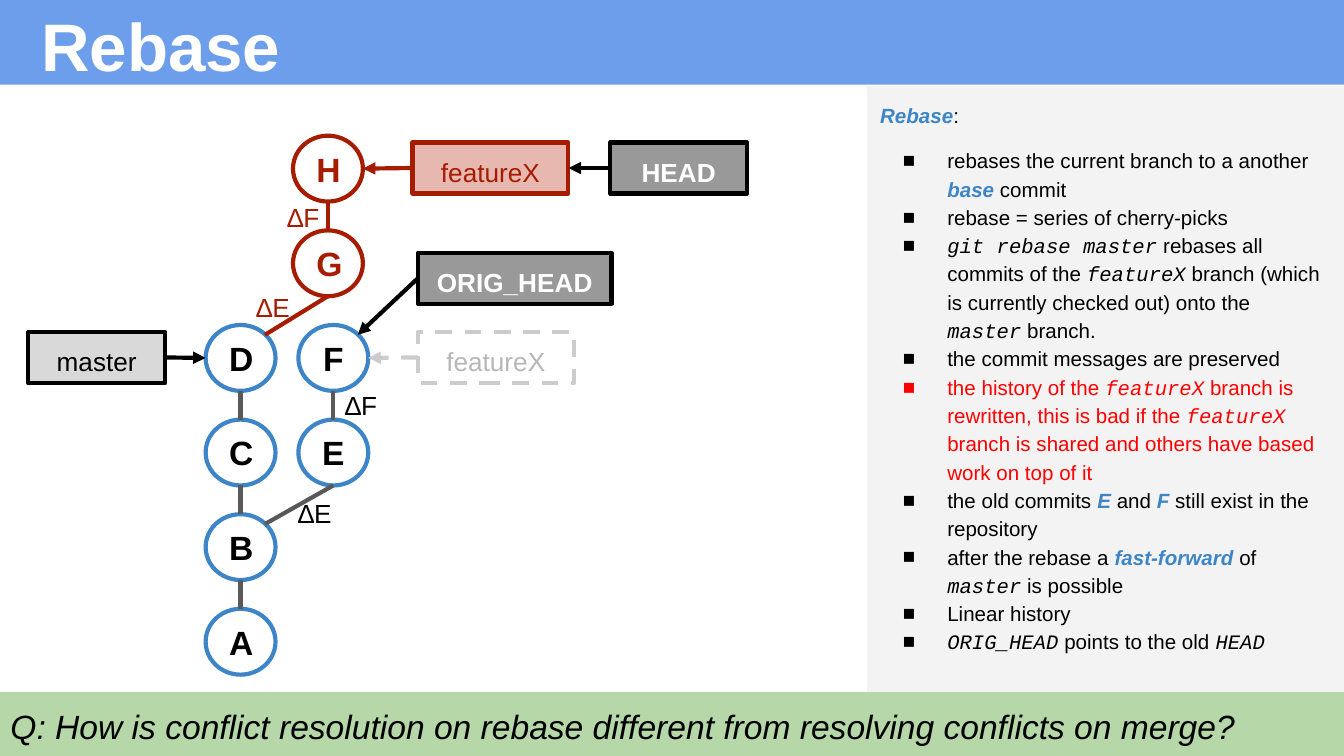
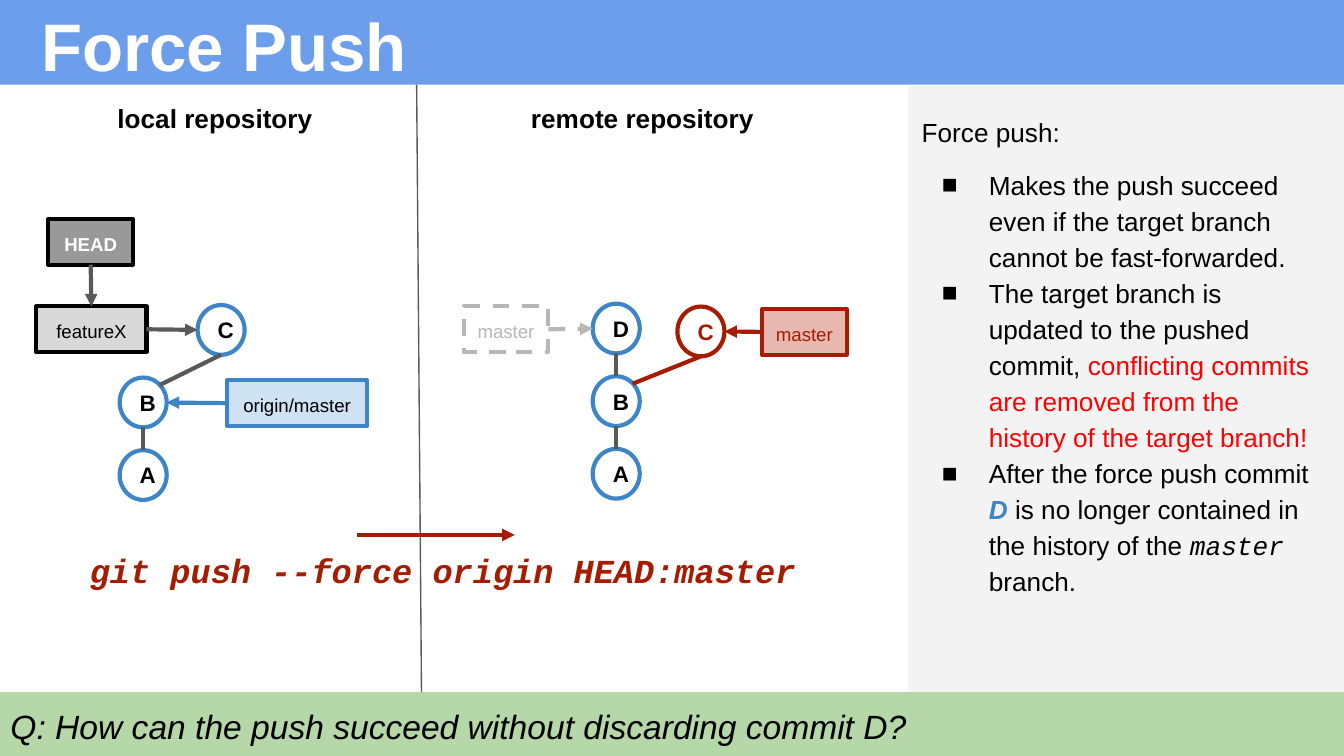
from dataclasses import dataclass
from typing import NamedTuple

import lxml.etree
import pptx
import pptx.dml.color
import pptx.enum.dml
import pptx.enum.shapes
import pptx.enum.text
import pptx.oxml.ns
import pptx.util

# The slide is a grid of square cells, 100 columns by 56.25 rows.
COLUMNS, ROWS = 100, 56.25
CELL = pptx.util.Inches(0.1)

SANS, MONO = "Arial", "Courier New"
BLACK, WHITE, GREY, RED = "000000", "FFFFFF", "595959", "FF0000"
BLUE, RUST, PALE, FADED = "3D85C6", "A61C00", "CCCCCC", "B7B7B7"
BAND, PANEL, QUESTION = "6D9EEB", "F3F3F3", "B6D7A8"
LINE_WIDTH = 2.25

LEFT_ALIGNED = pptx.enum.text.PP_ALIGN.LEFT
CENTERED = pptx.enum.text.PP_ALIGN.CENTER
AT_TOP = pptx.enum.text.MSO_ANCHOR.TOP
AT_MIDDLE = pptx.enum.text.MSO_ANCHOR.MIDDLE
AT_BOTTOM = pptx.enum.text.MSO_ANCHOR.BOTTOM
RECTANGLE = pptx.enum.shapes.MSO_SHAPE.RECTANGLE
OVAL = pptx.enum.shapes.MSO_SHAPE.OVAL


class Span(NamedTuple):
    text: str
    color: str | None = None
    mono: bool = False
    bold: bool = False
    italic: bool = False


class Para(NamedTuple):
    spans: list[Span]
    color: str = BLACK


class Font(NamedTuple):
    size: float
    color: str = BLACK
    bold: bool = False
    italic: bool = False
    name: str = SANS


class Look(NamedTuple):
    line: str
    text: str = BLACK
    fill: str | None = None
    bold: bool = False
    dashed: bool = False


COMMIT = Look(BLUE, bold=True)
NEW_COMMIT = Look(RUST, RUST, bold=True)
BRANCH = Look(BLACK, fill="D9D9D9")
NEW_BRANCH = Look(RUST, RUST, "E6B8AF")
REMOTE_BRANCH = Look(BLUE, fill="CFE2F3")
HEAD = Look(BLACK, WHITE, "999999", bold=True)

# Docking points, as shares of a node's width and height.
TOP, BOTTOM, LEFT, RIGHT = (0.5, 0), (0.5, 1), (0, 0.5), (1, 0.5)
UPPER_RIGHT = (0.85, 0.15)


@dataclass(frozen=True)
class Area:
    left: float
    top: float
    width: float
    height: float

    def emu(self) -> list[int]:
        return [cells(n) for n in (self.left, self.top, self.width, self.height)]

    def dock(self, share: tuple[float, float]) -> tuple[float, float]:
        return self.left + share[0] * self.width, self.top + share[1] * self.height


@dataclass(frozen=True)
class CommitGrid:
    """Places commits of one size by column offset and row number."""
    left: float
    top: float
    pitch: float
    width: float
    height: float
    size: int

    def commit(self, page, name: str, row: float, offset: float = 0, look: Look = COMMIT) -> Area:
        area = Area(self.left + offset, self.top + row * self.pitch, self.width, self.height)
        return draw_node(page, OVAL, area, name, look, self.size, AT_MIDDLE)


def cells(count: float) -> int:
    return round(count * CELL)


def rgb(color: str) -> pptx.dml.color.RGBColor:
    return pptx.dml.color.RGBColor.from_string(color)


def add_tag(parent, tag: str, **attributes: str):
    return lxml.etree.SubElement(parent, pptx.oxml.ns.qn(tag), **attributes)


def term(text: str) -> Span:
    return Span(text, BLUE, bold=True, italic=True)


def code(text: str) -> Span:
    return Span(text, mono=True, italic=True)


def set_font(font, style: Font) -> None:
    font.name, font.size = style.name, pptx.util.Pt(style.size)
    font.bold, font.italic = style.bold, style.italic
    font.color.rgb = rgb(style.color)


def set_frame(frame, anchor) -> None:
    frame.word_wrap = True
    frame.vertical_anchor = anchor
    frame.margin_left = frame.margin_right = cells(1)
    frame.margin_top = frame.margin_bottom = cells(1)


def write(shape, text: str, style: Font, align=LEFT_ALIGNED, anchor=AT_TOP) -> None:
    set_frame(shape.text_frame, anchor)
    para = shape.text_frame.paragraphs[0]
    para.alignment = align
    set_font(para.font, style)
    para.add_run().text = text


def draw_text(page, area: Area, text: str, style: Font, align=LEFT_ALIGNED, anchor=AT_TOP) -> None:
    write(page.shapes.add_textbox(*area.emu()), text, style, align, anchor)


def draw_band(page, area: Area, color: str) -> None:
    band = page.shapes.add_shape(RECTANGLE, *area.emu())
    band.shadow.inherit = False
    band.fill.solid()
    band.fill.fore_color.rgb = rgb(color)
    band.line.fill.background()


def set_line(line, color: str, dashed: bool, width: float = LINE_WIDTH) -> None:
    line.color.rgb = rgb(color)
    line.width = pptx.util.Pt(width)
    if dashed:
        line.dash_style = pptx.enum.dml.MSO_LINE.DASH


def draw_node(page, preset, area: Area, text: str, look: Look, size: int, anchor) -> Area:
    node = page.shapes.add_shape(preset, *area.emu())
    node.shadow.inherit = False
    if look.fill:
        node.fill.solid()
        node.fill.fore_color.rgb = rgb(look.fill)
    else:
        node.fill.background()
    set_line(node.line, look.line, look.dashed)
    add_tag(node.line._get_or_add_ln(), "a:round")
    write(node, text, Font(size, look.text, look.bold), CENTERED, anchor)
    return area


def draw_label(page, area: Area, text: str, look: Look, size: int) -> Area:
    return draw_node(page, RECTANGLE, area, text, look, size, AT_TOP)


def draw_line(page, start: tuple[float, float], end: tuple[float, float], color: str = GREY,
              arrow: bool = False, dashed: bool = False, width: float = LINE_WIDTH) -> None:
    line = page.shapes.add_connector(pptx.enum.shapes.MSO_CONNECTOR.STRAIGHT,
                                     *[cells(n) for n in (*start, *end)])
    set_line(line.line, color, dashed, width)
    if arrow:
        add_tag(line.line._get_or_add_ln(), "a:tailEnd", type="triangle")
    add_tag(line._element.spPr, "a:effectLst")


def draw_arrow(page, start: tuple[float, float], end: tuple[float, float],
               color: str, dashed: bool = False) -> None:
    draw_line(page, start, end, color, True, dashed)


def draw_chain(page, *commits: Area, color: str = GREY) -> None:
    """Link commits standing above one another, lowest first."""
    for lower, upper in zip(commits, commits[1:]):
        draw_line(page, lower.dock(TOP), upper.dock(BOTTOM), color)


def draw_notes_panel(page, left: float, text_top: float, heading: Span, points: list[Para],
                     size: int, hanging: float) -> None:
    width = COLUMNS - left
    draw_band(page, Area(left, 6.4, width, ROWS - 6.4), PANEL)
    box = page.shapes.add_textbox(*Area(left, text_top, width - 0.7, 47.4).emu())
    frame = box.text_frame
    set_frame(frame, AT_TOP)
    heading_spans = [heading, Span(":")]
    for index, item in enumerate([Para(heading_spans), *points]):
        para = frame.add_paragraph() if index else frame.paragraphs[0]
        para.line_spacing = 1.15
        para.space_before = pptx.util.Pt(9 if index == 1 else 0)
        if index:
            props = para._p.get_or_add_pPr()
            props.set("marL", str(cells(5)))
            props.set("indent", str(-cells(hanging)))
            add_tag(add_tag(props, "a:buClr"), "a:srgbClr", val=item.color)
            add_tag(props, "a:buFont", typeface=SANS)
            add_tag(props, "a:buChar", char="■")
        set_font(para.font, Font(size, item.color))
        for span in item.spans:
            run = para.add_run()
            run.text = span.text
            if span.mono:
                run.font.name = MONO
            if span.bold:
                run.font.bold = True
            if span.italic:
                run.font.italic = True
            if span.color:
                run.font.color.rgb = rgb(span.color)


def start_page(deck, title: str):
    page = deck.slides.add_slide(deck.slide_layouts[6])
    draw_band(page, Area(0, 0, COLUMNS, 6.3), BAND)
    draw_text(page, Area(2.1, -1, 80, 8.3), title, Font(36, WHITE, bold=True), anchor=AT_BOTTOM)
    return page


def draw_question(page, question: str) -> None:
    draw_band(page, Area(0, 51.5, COLUMNS, ROWS - 51.5), QUESTION)
    draw_text(page, Area(-0.2, 51.5, 98, 4.8), question, Font(18, italic=True))


def build_rebase(deck) -> None:
    page = start_page(deck, "Rebase")
    draw_notes_panel(page, 64.5, 6.4, term("Rebase"), [
        Para([Span("rebases the current branch to a another "), term("base"), Span(" commit")]),
        Para([Span("rebase = series of cherry-picks")]),
        Para([code("git rebase master"), Span(" rebases all commits of the "), code("featureX"),
              Span(" branch (which is currently checked out) onto the "), code("master"),
              Span(" branch.")]),
        Para([Span("the commit messages are preserved")]),
        Para([Span("the history of the "), code("featureX"),
              Span(" branch is rewritten, this is bad if the "), code("featureX"),
              Span(" branch is shared and others have based work on top of it")], RED),
        Para([Span("the old commits "), term("E"), Span(" and "), term("F"),
              Span(" still exist in the repository")]),
        Para([Span("after the rebase a "), term("fast-forward"), Span(" of "), code("master"),
              Span(" is possible")]),
        Para([Span("Linear history")]),
        Para([code("ORIG_HEAD"), Span(" points to the old "), code("HEAD")]),
    ], size=11, hanging=3.3)

    grid = CommitGrid(15.3, 10.1, 7.04, 5.2, 4.9, 18)
    a, b, c, d = [grid.commit(page, name, 5 - i) for i, name in enumerate("ABCD")]
    e, f = [grid.commit(page, name, 3 - i, 6.9) for i, name in enumerate("EF")]
    g, h = [grid.commit(page, name, 1 - i, 6.5, NEW_COMMIT) for i, name in enumerate("GH")]
    draw_chain(page, a, b, c, d)
    draw_chain(page, e, f)
    draw_chain(page, g, h, color=RUST)
    draw_line(page, b.dock(UPPER_RIGHT), e.dock(BOTTOM))
    draw_line(page, d.dock(UPPER_RIGHT), g.dock(BOTTOM), RUST)

    master = draw_label(page, Area(2.1, 24.7, 10.2, 3.8), "master", BRANCH, 14)
    old_feature = draw_label(page, Area(31.1, 24.7, 11.6, 3.8), "featureX",
                             Look(PALE, FADED, dashed=True), 14)
    feature = draw_label(page, Area(30.7, 10.6, 11.6, 3.8), "featureX", NEW_BRANCH, 14)
    head = draw_label(page, Area(45.4, 10.6, 10.2, 3.8), "HEAD", HEAD, 14)
    orig_head = draw_label(page, Area(31.1, 18.8, 14.4, 3.8), "ORIG_HEAD", HEAD, 14)
    draw_arrow(page, master.dock(RIGHT), d.dock(LEFT), BLACK)
    draw_arrow(page, old_feature.dock(LEFT), f.dock(RIGHT), PALE, dashed=True)
    draw_arrow(page, feature.dock(LEFT), h.dock(RIGHT), RUST)
    draw_arrow(page, head.dock(LEFT), feature.dock(RIGHT), BLACK)
    draw_arrow(page, orig_head.dock(LEFT), f.dock(UPPER_RIGHT), BLACK)

    for text, left, top, color in (("∆F", 20.4, 14, RUST), ("∆E", 18.1, 20.7, RUST),
                                   ("∆F", 24.7, 28, BLACK), ("∆E", 21.2, 36, BLACK)):
        draw_text(page, Area(left, top, 5.1, 4.2), text, Font(14, color))
    draw_question(page, "Q: How is conflict resolution on rebase different from "
                        "resolving conflicts on merge?")


def build_force_push(deck) -> None:
    page = start_page(deck, "Force Push")
    draw_notes_panel(page, 67.6, 7.3, Span("Force push"), [
        Para([Span("Makes the push succeed even if the target branch cannot be fast-forwarded.")]),
        Para([Span("The target branch is updated to the pushed commit, "),
              Span("conflicting commits are removed from the history of the target branch!", RED)]),
        Para([Span("After the force push commit "), term("D"),
              Span(" is no longer contained in the history of the "), code("master"),
              Span(" branch.")]),
    ], size=14, hanging=3.5)
    draw_line(page, (31, 6.3), (31.4, ROWS), width=0.75)
    for text, left in (("local repository", 5.7), ("remote repository", 37.5)):
        draw_text(page, Area(left, 6.6, 20.6, 5), text, Font(14, bold=True), CENTERED)

    local = CommitGrid(8.9, 22.7, 5.4, 3.5, 3.7, 12)
    a, b = [local.commit(page, name, 2 - i) for i, name in enumerate("AB")]
    c = local.commit(page, "C", 0, 5.8)
    draw_chain(page, a, b)
    draw_line(page, b.dock(UPPER_RIGHT), c.dock(BOTTOM))
    head = draw_label(page, Area(3.6, 16.3, 6.3, 3.4), "HEAD", HEAD, 10)
    feature = draw_label(page, Area(2.7, 22.8, 8.2, 3.4), "featureX", BRANCH, 10)
    tracking = draw_label(page, Area(16.9, 28.3, 10.4, 3.4), "origin/master", REMOTE_BRANCH, 10)
    draw_arrow(page, head.dock(BOTTOM), feature.dock(TOP), GREY)
    draw_arrow(page, feature.dock(RIGHT), c.dock(LEFT), GREY)
    draw_arrow(page, tracking.dock(LEFT), b.dock(RIGHT), BLUE)

    remote = CommitGrid(44.1, 22.6, 5.4, 3.5, 3.7, 12)
    a, b, d = [remote.commit(page, name, 2 - i) for i, name in enumerate("ABD")]
    c = remote.commit(page, "C", 0.04, 6.3, NEW_COMMIT)
    draw_chain(page, a, b, d)
    draw_line(page, b.dock(UPPER_RIGHT), c.dock(BOTTOM), RUST)
    master = draw_label(page, Area(56.7, 23, 6.3, 3.4), "master", NEW_BRANCH, 10)
    old_master = draw_label(page, Area(34.5, 22.8, 6.3, 3.4), "master",
                            Look(FADED, FADED, dashed=True), 10)
    draw_arrow(page, master.dock(LEFT), c.dock(RIGHT), RUST)
    draw_arrow(page, old_master.dock(RIGHT), d.dock(LEFT), FADED, dashed=True)

    draw_text(page, Area(5.7, 39.9, 56.4, 5.2), "git push --force origin HEAD:master",
              Font(18, RUST, True, True, MONO))
    draw_arrow(page, (26.6, 39.8), (38.3, 39.8), RUST)
    draw_question(page, "Q: How can the push succeed without discarding commit D?")


def main() -> None:
    deck = pptx.Presentation()
    deck.slide_width, deck.slide_height = cells(COLUMNS), cells(ROWS)
    build_rebase(deck)
    build_force_push(deck)
    deck.save("out.pptx")


if __name__ == "__main__":
    main()
